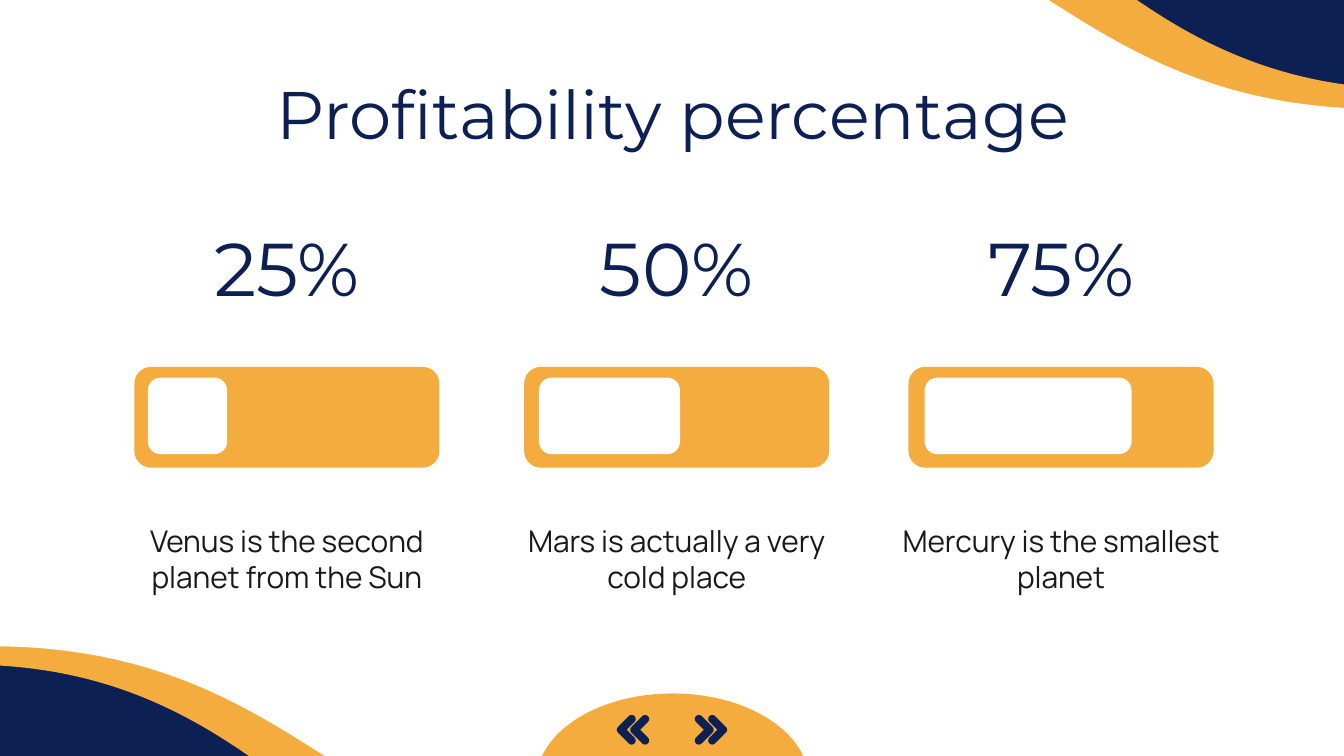
from math import cos, radians, sin, sqrt

from pptx import Presentation
from pptx.dml.color import RGBColor
from pptx.enum.shapes import MSO_SHAPE
from pptx.enum.text import MSO_ANCHOR, PP_ALIGN
from pptx.util import Inches, Pt

COLORS = {"navy": "0C2054", "orange": "F3AC3D", "white": "FFFFFF", "text": "191919"}

prs = Presentation()
prs.slide_width = Inches(10)
prs.slide_height = Inches(10 * 9 / 16)
s = prs.slides.add_slide(prs.slide_layouts[6])
s.background.fill.solid()
s.background.fill.fore_color.rgb = RGBColor.from_string(COLORS["navy"])


def paint(sp, color):
    sp.shadow.inherit = False
    sp.fill.solid()
    sp.fill.fore_color.rgb = RGBColor.from_string(COLORS[color])
    sp.line.fill.background()


def add_text(text, left, top, width, height, font, size, color):
    tf = s.shapes.add_textbox(Inches(left), Inches(top), Inches(width), Inches(height)).text_frame
    tf.word_wrap = True
    tf.vertical_anchor = MSO_ANCHOR.MIDDLE
    tf.margin_left = tf.margin_right = tf.margin_top = tf.margin_bottom = Inches(0.1)
    tf.text = text
    p = tf.paragraphs[0]
    p.alignment = PP_ALIGN.CENTER
    r = p.runs[0]
    r.font.name = font
    r.font.size = Pt(size)
    r.font.color.rgb = RGBColor.from_string(COLORS[color])


# Corner waves: orange layers below white ones
waves = [
    (-0.24, -2.4, 9.16, 0, "orange"),
    (4.93, -1.15, 9.16, 180, "orange"),
    (-0.07, -1.39, 7.73, 0, "white"),
    (4.68, -0.72, 7.73, 180, "white"),
]
for left, top, height, rotation, color in waves:
    sp = s.shapes.add_shape(MSO_SHAPE.FLOWCHART_DOCUMENT, Inches(left), Inches(top),
                            Inches(5.6), Inches(height))
    sp.rotation = rotation
    sp._element.spPr.xfrm.set("flipH", "1")
    paint(sp, color)

# Title
add_text("Profitability percentage", 0.8, 0.58, 8.41, 0.51, "Montserrat", 36, "navy")

# Three columns: percentage, progress bar, description
columns = [
    (1, "25%", 1.1, 0.59, "Venus is the second planet from the Sun"),
    (3.9, "50%", 4.01, 1.05, "Mars is actually a very cold place"),
    (6.76, "75%", 6.88, 1.54, "Mercury is the smallest planet"),
]
for left, percent, fill_left, fill_width, description in columns:
    add_text(percent, left - 0.17, 1.7, 2.61, 0.57, "Montserrat", 40, "navy")
    bars = [(left, 2.73, 2.27, 0.75, "orange"), (fill_left, 2.81, fill_width, 0.57, "white")]
    for x, y, width, height, color in bars:
        sp = s.shapes.add_shape(MSO_SHAPE.ROUNDED_RECTANGLE, Inches(x), Inches(y),
                                Inches(width), Inches(height))
        paint(sp, color)
    add_text(description, left - 0.17, 3.83, 2.61, 0.65, "Manrope", 16, "text")

# Half ellipse behind the navigation arrows (angles in units of 100000/60000 degree)
sp = s.shapes.add_shape(MSO_SHAPE.PIE, Inches(3.99), Inches(5.16), Inches(2.03), Inches(1.31))
sp.adjustments[0] = 108
sp.adjustments[1] = 0
paint(sp, "orange")

# Double chevrons with round ends, mirrored about the slide centre
RADIUS, ARM, MIDDLE = 0.03, 0.08, 5.43
arcs = [(0, -ARM, 135), (ARM, 0, -45), (0, ARM, 45)]
sweeps = [180, 90, 180]
outline = []
for (cx, cy, start), sweep in zip(arcs, sweeps):
    for step in range(0, sweep + 1, 15):
        angle = radians(start + step)
        outline.append((cx + RADIUS * cos(angle), cy + RADIUS * sin(angle)))
outline.append((ARM - RADIUS * sqrt(2), 0))

for direction in (1, -1):
    for offset in (0.2, 0.3):
        points = [(Inches(5 + direction * (offset + x)), Inches(MIDDLE + y)) for x, y in outline]
        builder = s.shapes.build_freeform(*points[0])
        builder.add_line_segments(points[1:], close=True)
        paint(builder.convert_to_shape(), "navy")

prs.save("out.pptx")
